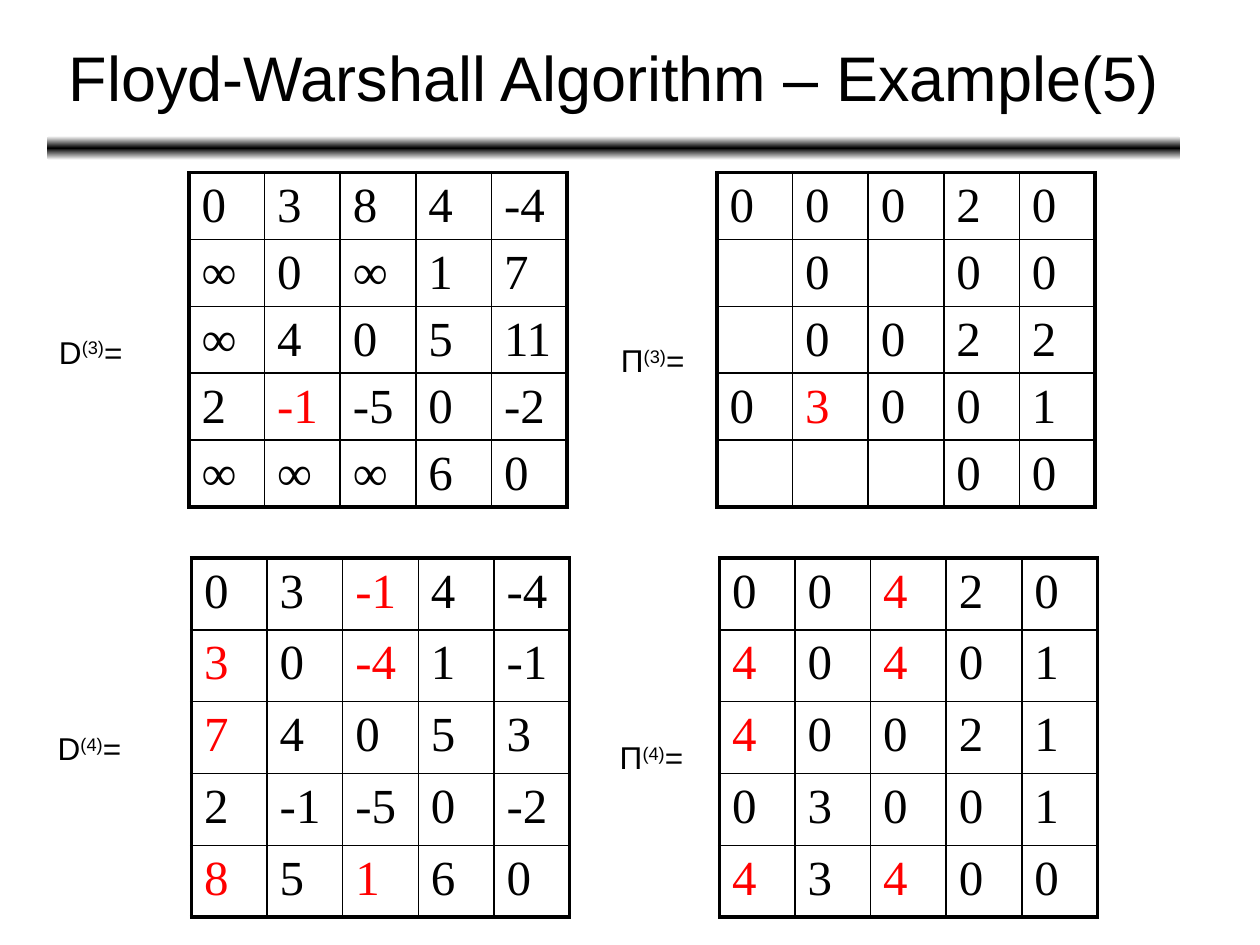
from copy import deepcopy
from lxml.etree import SubElement
from pptx import Presentation
from pptx.dml.color import RGBColor as Rgb
from pptx.enum.shapes import MSO_SHAPE as Shape
from pptx.enum.text import MSO_ANCHOR as Anchor, MSO_AUTO_SIZE as AutoSize, PP_ALIGN as Align
from pptx.oxml.ns import qn
from pptx.util import Inches, Pt

COLORS = {"ink": "000000", "changed": "FF0000", "paper": "FFFFFF"}
SANS, SERIF = "Arial", "Times New Roman"
SIZE = 5  # rows and columns of every matrix
COLUMN = 0.6

# "*" marks a value changed in this step, "." an empty cell
D3 = """0 3 8 4 -4
∞ 0 ∞ 1 7
∞ 4 0 5 11
2 *-1 -5 0 -2
∞ ∞ ∞ 6 0"""
P3 = """0 0 0 2 0
. 0 . 0 0
. 0 0 2 2
0 *3 0 0 1
. . . 0 0"""
D4 = """0 3 *-1 4 -4
*3 0 *-4 1 -1
*7 4 0 5 3
2 -1 -5 0 -2
*8 5 *1 6 0"""
P4 = """0 0 *4 2 0
*4 0 *4 0 1
*4 0 0 2 1
0 3 0 0 1
*4 3 *4 0 0"""


def color(name):
    return Rgb.from_string(COLORS[name])


def add_span(para, text, font, size, ink="ink", baseline=0):
    span = para.add_run()
    span.text = text
    span.font.name, span.font.size = font, Pt(size)
    span.font.color.rgb = color(ink)
    if baseline:
        span.font._element.set("baseline", str(baseline * 1000))


def add_header(page, box, text):
    left, top, width, height = box
    # Gradient rule below the title
    rule = page.shapes.add_shape(Shape.ROUNDED_RECTANGLE, left, top + Inches(0.97), width, Inches(0.19))
    rule.shadow.inherit = False
    rule.line.fill.background()
    rule.fill.gradient()
    rule.fill.gradient_angle = 90
    stop_list = rule._element.spPr.find(".//" + qn("a:gsLst"))
    stop_list.append(deepcopy(stop_list[0]))
    for stop, place, name in zip(rule.fill.gradient_stops, (0, 0.5, 1), ("paper", "ink", "paper")):
        stop.position, stop.color.rgb = place, color(name)
    # Title
    title = page.shapes.title
    title.left, title.top, title.width, title.height = left, top, width, height
    frame = title.text_frame
    frame.vertical_anchor = Anchor.MIDDLE
    frame.word_wrap = True
    frame.auto_size = AutoSize.NONE
    para = frame.paragraphs[0]
    para.alignment = Align.CENTER
    add_span(para, text, SANS, 36)


def add_border(cell, row, column):
    props = cell._tc.get_or_add_tcPr()
    outer = {"L": column == 0, "R": column == SIZE - 1, "T": row == 0, "B": row == SIZE - 1}
    for side, thick in outer.items():
        line = SubElement(props, qn("a:ln" + side), w=str(Pt(2.25 if thick else 1)))
        SubElement(SubElement(line, qn("a:solidFill")), qn("a:srgbClr"), val=COLORS["ink"])


def add_matrix(page, left, top, row_height, values):
    table = page.shapes.add_table(SIZE, SIZE, Inches(left), Inches(top), Inches(SIZE * COLUMN),
                                  Inches(SIZE * row_height)).table
    table.first_row = table.horz_banding = False
    for row, line in enumerate(values.splitlines()):
        table.rows[row].height = Inches(row_height)
        for column, value in enumerate(line.split()):
            cell = table.cell(row, column)
            add_border(cell, row, column)
            cell.fill.background()
            if value != ".":
                ink = "changed" if value.startswith("*") else "ink"
                add_span(cell.text_frame.paragraphs[0], value.lstrip("*"), SERIF, 28, ink)


def add_label(page, left, top, width, letter, step):
    frame = page.shapes.add_textbox(Inches(left), Inches(top), Inches(width), Inches(0.4)).text_frame
    frame.word_wrap = True
    frame.auto_size = AutoSize.SHAPE_TO_FIT_TEXT
    para = frame.paragraphs[0]
    for text, baseline in ((letter, 0), (f"({step})", 30), ("=", 0)):
        add_span(para, text, SANS, 18, baseline=baseline)


def add_step(page, step, label_box, matrix_box, row_height, distances, parents):
    """One step: distance matrix and, to its right, predecessor matrix."""
    (label_left, label_top), (left, top) = label_box, matrix_box
    add_matrix(page, left, top, row_height, distances)
    add_matrix(page, left + 4.19, top, row_height, parents)
    add_label(page, label_left, label_top, 0.84, "D", step)
    add_label(page, label_left + 4.46, label_top + 0.07, 0.89, "Π", step)


deck = Presentation()
deck.slide_width, deck.slide_height = Inches(10), Inches(7.5)
page = deck.slides.add_slide(deck.slide_layouts[5])
page.background.fill.solid()
page.background.fill.fore_color.rgb = color("paper")

header_box = [Inches(value) for value in (0.37, 0.11, 9, 0.99)]
add_header(page, header_box, "Floyd-Warshall Algorithm – Example(5)")
add_step(page, 3, (0.37, 2.59), (1.5, 1.37), 0.53, D3, P3)
add_step(page, 4, (0.36, 5.74), (1.52, 4.43), 0.57, D4, P4)

deck.save("out.pptx")
